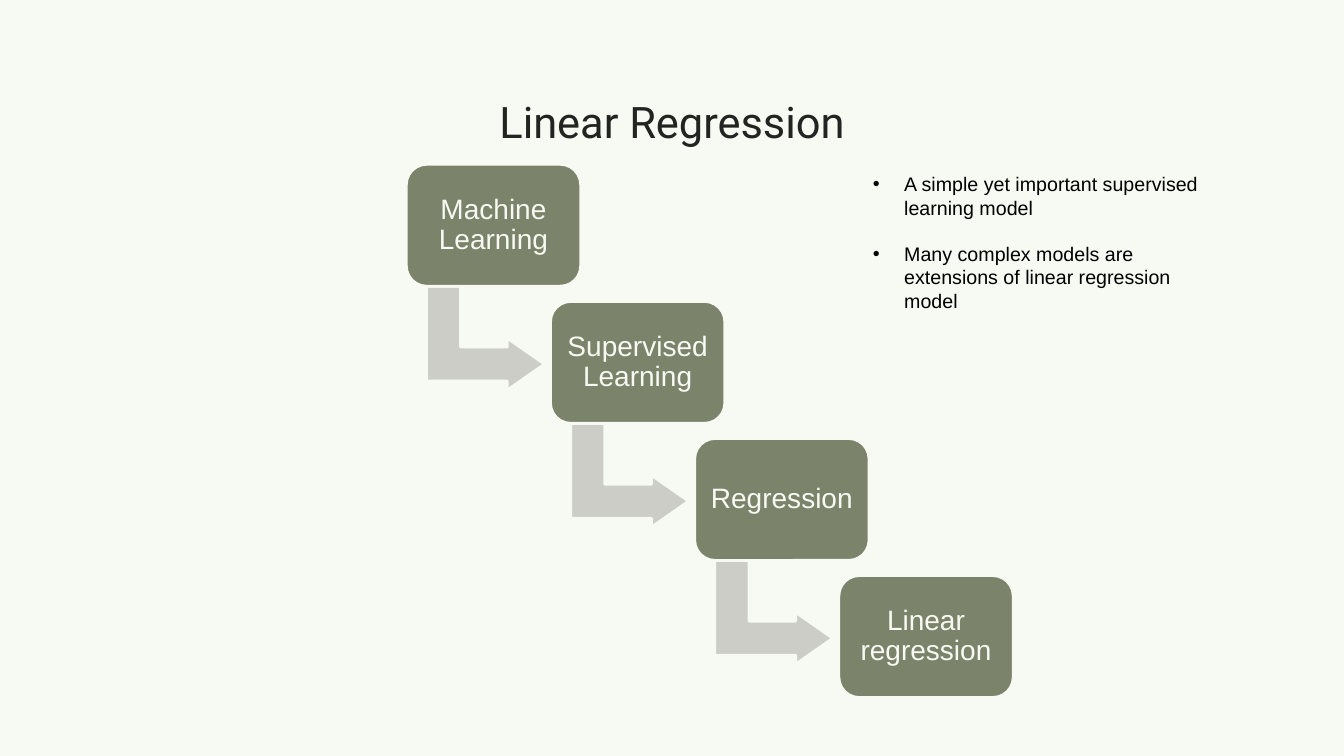
from dataclasses import dataclass

from lxml.etree import SubElement
from pptx import Presentation
from pptx.dml.color import RGBColor as RGB
from pptx.enum.shapes import MSO_SHAPE as Shape
from pptx.enum.text import MSO_ANCHOR as Anchor, MSO_AUTO_SIZE as Fit, PP_ALIGN as Align
from pptx.oxml.ns import qn
from pptx.util import Inches, Pt


@dataclass(frozen=True)
class Theme:
    paper: str = "F7FAF2"
    ink: str = "232322"
    black: str = "000000"
    olive: str = "7C836B"
    grey: str = "CCCDC7"
    head: str = "Roboto"
    body: str = "Arial"
    title: int = 31
    step: int = 20
    note: int = 14
    edge: int = 2


THEME = Theme()
STEPS = ["Machine Learning", "Supervised Learning", "Regression", "Linear regression"]
NOTES = [
    "A simple yet important supervised learning model",
    "Many complex models are extensions of linear regression model",
]


def apply(item, values):
    for name, value in values.items():
        setattr(item, name, value)


def style(para, size, color, face):
    apply(para.font, {"size": Pt(size), "name": face, "bold": False})
    para.font.color.rgb = RGB.from_string(color)


def set_frame(frame, inset):
    sides = ("left", "top", "right", "bottom")
    apply(frame, {f"margin_{side}": Inches(inset) for side in sides})
    apply(frame, {"word_wrap": True, "vertical_anchor": Anchor.MIDDLE})


def add_title(slide, text):
    title = slide.shapes.title
    apply(title, {"left": Inches(1.05), "top": Inches(0.79),
                  "width": Inches(11.23), "height": Inches(0.82)})
    frame = title.text_frame
    set_frame(frame, 0.1)
    apply(frame, {"text": text, "auto_size": Fit.NONE})
    para = frame.paragraphs[0]
    para.alignment = Align.CENTER
    style(para, THEME.title, THEME.ink, THEME.head)


def add_form(slide, kind, box, fill, adjust):
    form = slide.shapes.add_shape(kind, *map(Inches, box))
    form.shadow.inherit = False
    form.fill.solid()
    form.fill.fore_color.rgb = RGB.from_string(fill)
    form.line.color.rgb = RGB.from_string(THEME.paper)
    form.line.width = Pt(THEME.edge)
    for i, value in enumerate(adjust):
        form.adjustments[i] = value
    return form


def add_step(slide, left, top, text):
    box = (left, top, 1.73, 1.21)
    form = add_form(slide, Shape.ROUNDED_RECTANGLE, box, THEME.olive, [0.167])
    set_frame(form.text_frame, 0.08)
    form.text_frame.text = text
    para = form.text_frame.paragraphs[0]
    apply(para, {"alignment": Align.CENTER, "line_spacing": 0.9})
    style(para, THEME.step, THEME.paper, THEME.body)


def add_arrow(slide, left, top):
    box = (left + 0.27, top + 1.14, 1.03, 1.17)
    arrow = add_form(slide, Shape.BENT_UP_ARROW, box, THEME.grey, [0.328, 0.25, 0.358])
    arrow.rotation = 90


def add_bullet(para):
    props = para._p.get_or_add_pPr()
    props.set("marL", str(Inches(0.31)))
    props.set("indent", str(Inches(-0.31)))
    tint = SubElement(props, qn("a:buClr"))
    SubElement(tint, qn("a:srgbClr"), val=THEME.black)
    SubElement(props, qn("a:buFont"), typeface=THEME.body)
    SubElement(props, qn("a:buChar"), char="•")


def add_notes(slide, notes):
    box = slide.shapes.add_textbox(*map(Inches, (8.56, 1.66, 3.72, 1.51)))
    frame = box.text_frame
    apply(frame, {"word_wrap": True, "auto_size": Fit.SHAPE_TO_FIT_TEXT})
    for i, text in enumerate(notes):
        para = frame.add_paragraph() if i else frame.paragraphs[0]
        para.text = text
        add_bullet(para)
        if i:
            para.space_before = Pt(16)
        style(para, THEME.note, THEME.black, THEME.body)


def main():
    deck = Presentation()
    apply(deck, {"slide_width": Inches(13.33), "slide_height": Inches(7.5)})
    slide = deck.slides.add_slide(deck.slide_layouts[5])
    slide.background.fill.solid()
    slide.background.fill.fore_color.rgb = RGB.from_string(THEME.paper)
    add_title(slide, "Linear Regression")

    # Staircase of steps, with an arrow from each one to the next
    for i, text in enumerate(STEPS):
        left, top = 4.03 + 1.43 * i, 1.63 + 1.36 * i
        if i < len(STEPS) - 1:
            add_arrow(slide, left, top)
        add_step(slide, left, top, text)

    # Remarks on the right
    add_notes(slide, NOTES)
    deck.save("out.pptx")


if __name__ == "__main__":
    main()
